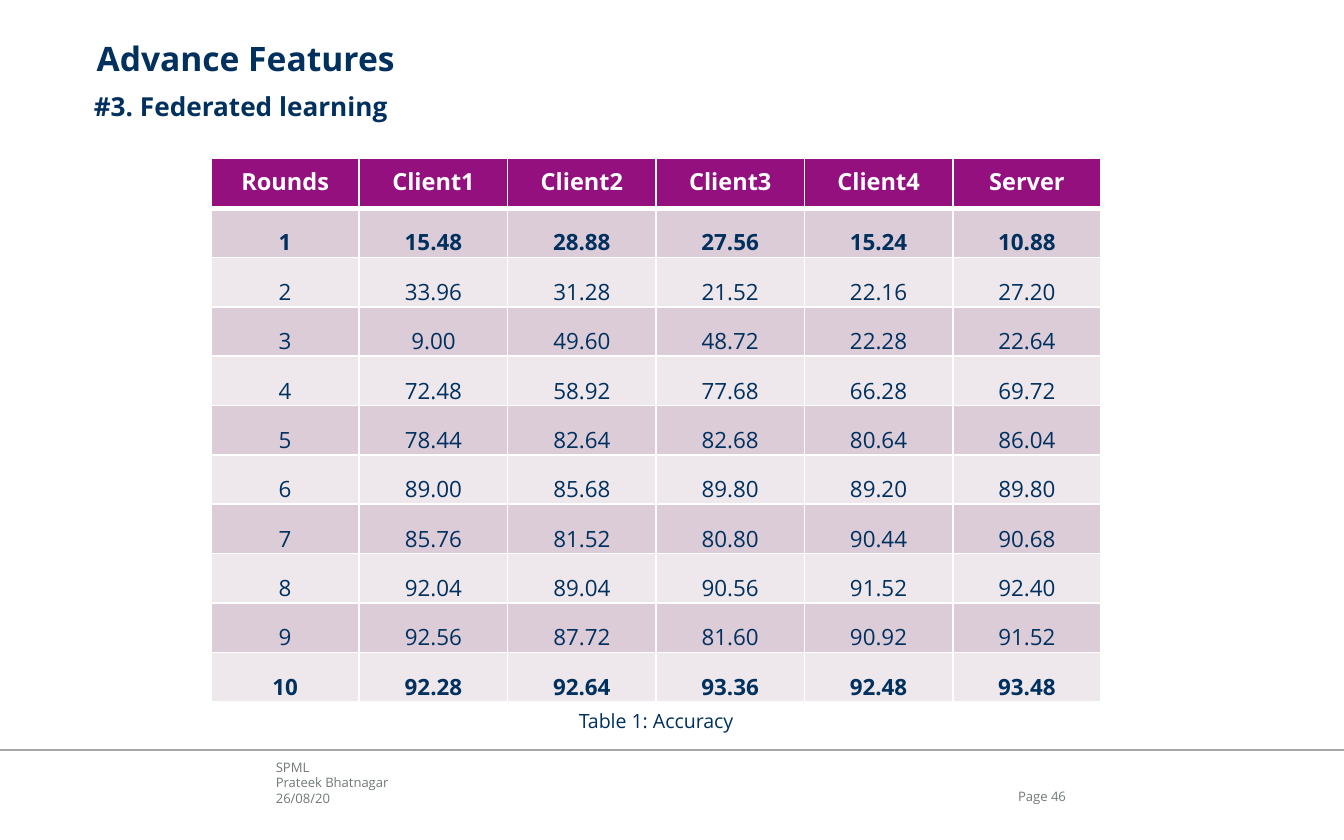
import pptx
import pptx.dml.color
import pptx.enum.shapes
import pptx.enum.text
import pptx.oxml
import pptx.oxml.ns
import pptx.util
from lxml import etree

Pt = pptx.util.Pt
RGBColor = pptx.dml.color.RGBColor
Align = pptx.enum.text.PP_ALIGN
Anchor = pptx.enum.text.MSO_ANCHOR
qn = pptx.oxml.ns.qn

FONT = "Open Sans"
NAVY = RGBColor(0x00, 0x30, 0x5E)
PURPLE = RGBColor(0x93, 0x10, 0x7E)
DARK_BAND = RGBColor(0xDC, 0xCC, 0xD8)
LIGHT_BAND = RGBColor(0xEE, 0xE7, 0xEC)
WHITE = RGBColor(0xFF, 0xFF, 0xFF)
FOOTER_GREY = RGBColor(0x72, 0x78, 0x79)
RULE_GREY = RGBColor(0xA6, 0xA6, 0xA6)

SLIDE_WIDTH, SLIDE_HEIGHT = 720, 450

ACCURACY = [
    ["Rounds", "Client1", "Client2", "Client3", "Client4", "Server"],
    ["1", "15.48", "28.88", "27.56", "15.24", "10.88"],
    ["2", "33.96", "31.28", "21.52", "22.16", "27.20"],
    ["3", "9.00", "49.60", "48.72", "22.28", "22.64"],
    ["4", "72.48", "58.92", "77.68", "66.28", "69.72"],
    ["5", "78.44", "82.64", "82.68", "80.64", "86.04"],
    ["6", "89.00", "85.68", "89.80", "89.20", "89.80"],
    ["7", "85.76", "81.52", "80.80", "90.44", "90.68"],
    ["8", "92.04", "89.04", "90.56", "91.52", "92.40"],
    ["9", "92.56", "87.72", "81.60", "90.92", "91.52"],
    ["10", "92.28", "92.64", "93.36", "92.48", "93.48"],
]


def write_text(frame, text, size, color=NAVY, bold=False, align=Align.LEFT,
               anchor=Anchor.TOP, spacing=1.0):
    """Fill a text frame, one paragraph for each line of text."""
    frame.text = text
    frame.word_wrap = True
    frame.vertical_anchor = anchor
    for paragraph in frame.paragraphs:
        paragraph.alignment = align
        paragraph.line_spacing = spacing
        font = paragraph.font
        for run in paragraph.runs:
            font = run.font
            font.name, font.size, font.bold = FONT, Pt(size), bold
            font.color.rgb = color


def add_label(slide, text, left, top, width, height, **text_format):
    frame = slide.shapes.add_textbox(Pt(left), Pt(top), Pt(width), Pt(height)).text_frame
    frame.margin_left = frame.margin_top = frame.margin_right = frame.margin_bottom = 0
    write_text(frame, text, **text_format)


def set_borders(cell, **widths):
    """Draw white cell borders; widths are in points, keyed by side."""
    properties = cell._tc.get_or_add_tcPr()
    for side in ("L", "R", "T", "B"):
        border = etree.SubElement(properties, qn(f"a:ln{side}"), w=str(Pt(widths.get(side, 1))))
        fill = etree.SubElement(border, qn("a:solidFill"))
        etree.SubElement(fill, qn("a:srgbClr"), val=str(WHITE))


def add_headings(slide, left, top, width):
    add_label(slide, "Advance Features", left, top, width, 27,
              size=18, bold=True, spacing=0.9)
    add_label(slide, "#3. Federated learning", left - 1.5, top + 27.5, width, 30,
              size=14, bold=True, spacing=0.9)


def add_accuracy_table(slide, left, top, width, height):
    row_count, column_count = len(ACCURACY), len(ACCURACY[0])
    table = slide.shapes.add_table(row_count, column_count, Pt(left), Pt(top),
                                   Pt(width), Pt(height)).table
    for column in table.columns:
        column.width = Pt(width / column_count)
    for row in table.rows:
        row.height = Pt(height / row_count)

    for round_number, values in enumerate(ACCURACY):
        for column_number, value in enumerate(values):
            cell = table.cell(round_number, column_number)
            if round_number == 0:
                band = PURPLE
                set_borders(cell, B=3)
                write_text(cell.text_frame, value, size=12.6, color=WHITE, bold=True,
                           align=Align.CENTER)
            else:
                band = DARK_BAND if round_number % 2 else LIGHT_BAND
                set_borders(cell, T=3 if round_number == 1 else 1)
                # First and last rounds stand out
                write_text(cell.text_frame, value, size=12, align=Align.CENTER,
                           bold=round_number in (1, row_count - 1))
                cell.margin_left = cell.margin_top = cell.margin_right = Pt(0.7)
                cell.margin_bottom = 0
                cell.vertical_anchor = Anchor.BOTTOM
            cell.fill.solid()
            cell.fill.fore_color.rgb = band

    # Caption centred below the table
    add_label(slide, "Table 1: Accuracy", left + width / 2 - 92.5, top + height + 5, 185, 14,
              size=10.5, align=Align.CENTER, spacing=0.9)


def add_footer(slide, left, top, width):
    rule = slide.shapes.add_connector(pptx.enum.shapes.MSO_CONNECTOR.STRAIGHT,
                                      Pt(left), Pt(top), Pt(left + width), Pt(top))
    rule.line.color.rgb = RULE_GREY
    rule.line.width = Pt(1)
    etree.SubElement(rule._element.spPr, qn("a:effectLst"))

    footer_format = dict(size=7, color=FOOTER_GREY, anchor=Anchor.BOTTOM, spacing=Pt(8.3))
    add_label(slide, "SPML\nPrateek Bhatnagar\n26/08/20", left + 147.8, top + 4.5, 306, 25.5,
              **footer_format)
    add_label(slide, "Page 46", left + 529, top + 12, 42, 17,
              align=Align.RIGHT, **footer_format)


def main():
    presentation = pptx.Presentation()
    presentation.slide_width = Pt(SLIDE_WIDTH)
    presentation.slide_height = Pt(SLIDE_HEIGHT)
    slide = presentation.slides.add_slide(presentation.slide_layouts[6])

    add_footer(slide, 0, 401.8, SLIDE_WIDTH)
    add_headings(slide, 51.8, 23, 625)
    add_accuracy_table(slide, 113, 85, 477, 291)
    presentation.save("out.pptx")


if __name__ == "__main__":
    main()
